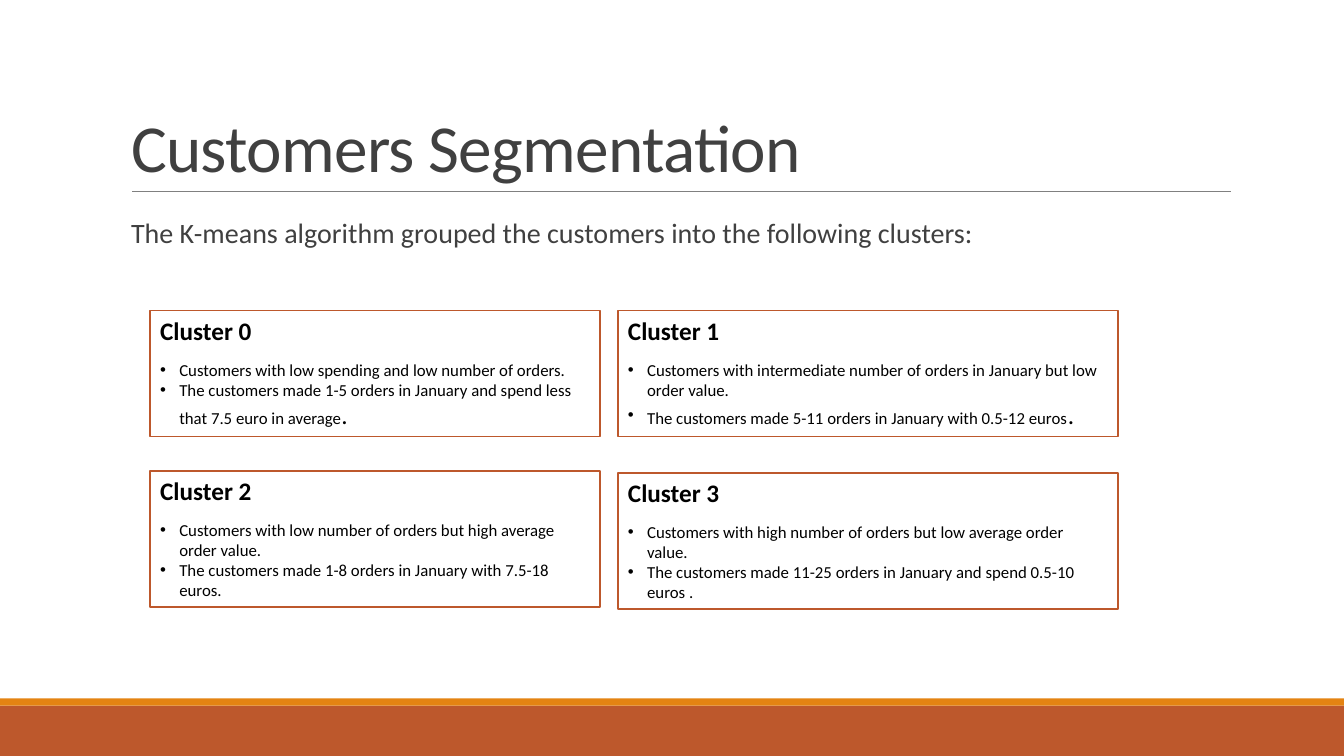
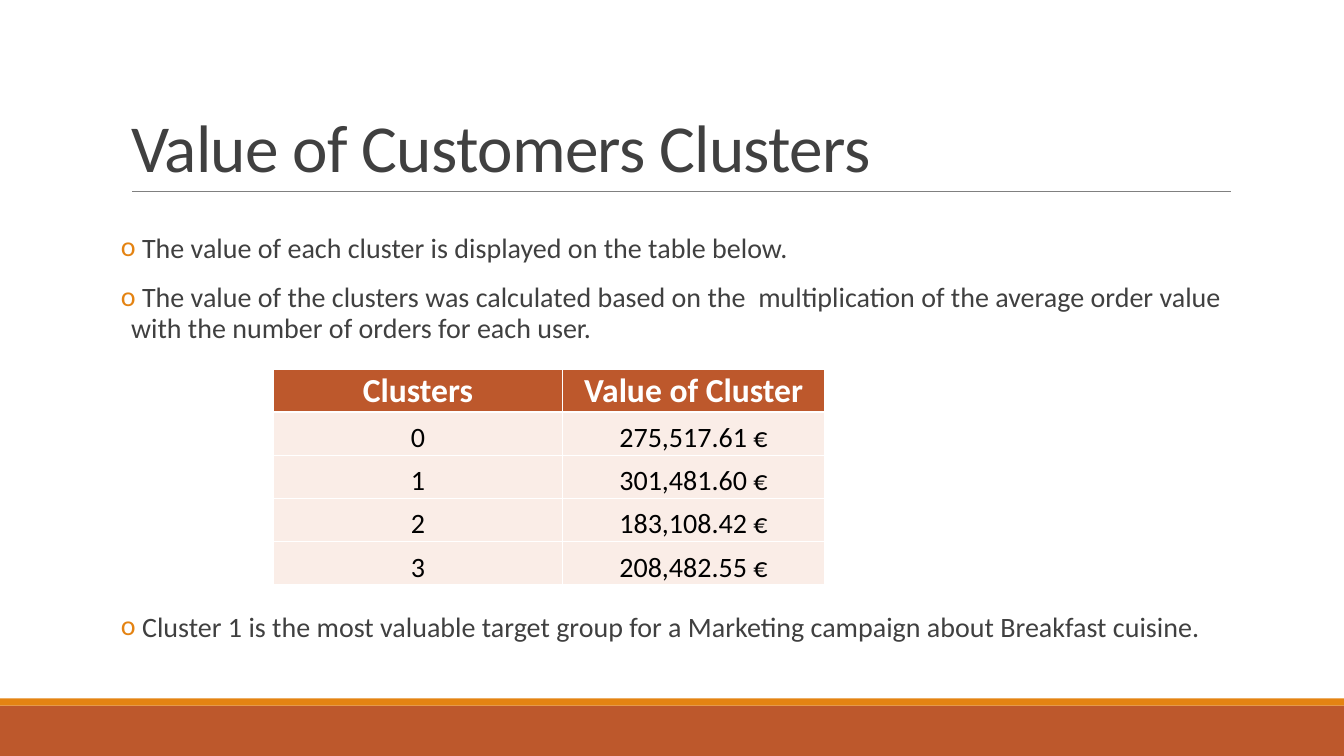
from dataclasses import dataclass

from lxml.etree import SubElement
from pptx import Presentation
from pptx.dml.color import RGBColor
from pptx.enum.shapes import MSO_CONNECTOR as Link, MSO_SHAPE as Form
from pptx.enum.text import MSO_ANCHOR as Anchor, MSO_AUTO_SIZE as Fit, PP_ALIGN as Align
from pptx.oxml.ns import qn
from pptx.shapes.autoshape import Shape
from pptx.slide import Slide
from pptx.table import _Cell as Cell
from pptx.text.text import _Paragraph as Para, _Run as Run
from pptx.util import Inches, Pt

RUST = RGBColor(0xBD, 0x58, 0x2C)
AMBER = RGBColor(0xE4, 0x83, 0x12)
GRAY = RGBColor(0x80, 0x80, 0x80)
DARK = RGBColor(0x40, 0x40, 0x40)
BLUSH = RGBColor(0xFA, 0xED, 0xE7)
BLACK = RGBColor(0, 0, 0)
WHITE = RGBColor(0xFF, 0xFF, 0xFF)
FONT = "Calibri"


@dataclass(frozen=True)
class Area:
    left: float
    top: float
    width: float
    height: float

    def place(self, shape: Shape) -> None:
        shape.left, shape.top = Inches(self.left), Inches(self.top)
        shape.width, shape.height = Inches(self.width), Inches(self.height)


@dataclass(frozen=True)
class Band:
    area: Area
    color: RGBColor


@dataclass(frozen=True)
class Group:
    name: str
    area: Area
    points: tuple[str, str]
    end: str = ""


@dataclass(frozen=True)
class Item:
    text: str
    mark: str = ""
    before: float = 12


BANDS = (
    Band(Area(0, 7, 13.33, 0.5), RUST),
    Band(Area(0, 6.93, 13.33, 0.07), AMBER),
)
TITLE = Area(1.2, 0.31, 11, 1.59)

GROUPS = (
    Group("Cluster 0", Area(1.49, 3.08, 4.46, 1.25), (
        "Customers with low spending and low number of orders.",
        "The customers made 1-5 orders in January and spend less that 7.5 euro in average",
    ), "."),
    Group("Cluster 1", Area(6.13, 3.08, 4.96, 1.25), (
        "Customers with intermediate number of orders in January but low order value.",
        "The customers made 5-11 orders in January with 0.5-12 euros",
    ), "."),
    Group("Cluster 2", Area(1.49, 4.67, 4.46, 1.35), (
        "Customers with low number of orders but high average order value.",
        "The customers made 1-8 orders in January with 7.5-18 euros.",
    )),
    Group("Cluster 3", Area(6.13, 4.69, 4.96, 1.35), (
        "Customers with high number of orders but low average order value.",
        "The customers made 11-25 orders in January and spend 0.5-10 euros .",
    )),
)

INTRO = (Item("The K-means algorithm grouped the customers into the following clusters:"),)
NOTES = (
    Item(" The value of each cluster is displayed on the table below.", "o"),
    Item(" The value of the clusters was calculated based on the  multiplication of the "
         "average order value with the number of orders for each user.", "o"),
    Item(" Cluster 1 is the most valuable target group for a Marketing campaign about "
         "Breakfast cuisine.", "o", 190),
)
ROWS = (
    ("Clusters", "Value of Cluster"),
    ("0", "275,517.61 €"),
    ("1", "301,481.60 €"),
    ("2", "183,108.42 €"),
    ("3", "208,482.55 €"),
)


def style(run: Run, size: float, color: RGBColor, bold: bool = False) -> None:
    font = run.font
    font.name, font.size, font.bold = FONT, Pt(size), bold
    font.color.rgb = color


def indent(para: Para, left: float, mark: str, face: str, color: RGBColor) -> None:
    props = para._p.get_or_add_pPr()
    props.set("marL", str(Inches(left)))
    props.set("indent", str(-Inches(left) if mark else 0))
    if not mark:
        SubElement(props, qn("a:buNone"))
        return
    tint = SubElement(props, qn("a:buClr"))
    SubElement(tint, qn("a:srgbClr"), val=str(color))
    SubElement(props, qn("a:buFont"), typeface=face)
    SubElement(props, qn("a:buChar"), char=mark)


def add_bands(slide: Slide) -> None:
    for band in BANDS:
        shape = slide.shapes.add_shape(Form.RECTANGLE, 0, 0, 0, 0)
        band.area.place(shape)
        shape.shadow.inherit = False
        shape.fill.solid()
        shape.fill.fore_color.rgb = band.color
        shape.line.fill.background()
    rule = slide.shapes.add_connector(
        Link.STRAIGHT, Inches(1.31), Inches(1.9), Inches(12.21), Inches(1.9))
    rule.line.color.rgb = GRAY
    rule.line.width = Pt(0.5)
    SubElement(rule._element.spPr, qn("a:effectLst"))


def add_title(slide: Slide, text: str) -> None:
    title = slide.shapes.title
    TITLE.place(title)
    frame = title.text_frame
    frame.text = text
    frame.auto_size = Fit.NONE
    frame.vertical_anchor = Anchor.BOTTOM
    para = frame.paragraphs[0]
    para.alignment = Align.LEFT
    para.line_spacing = 0.85
    run = para.runs[0]
    style(run, 48, DARK)
    run.font._element.set("spc", "-50")


def add_body(slide: Slide, top: float, items: tuple[Item, ...]) -> None:
    body = slide.placeholders[1]
    Area(1.2, top, 11, 4.4).place(body)
    frame = body.text_frame
    frame.text = "\n".join(item.text for item in items)
    frame.auto_size = Fit.NONE
    frame.margin_left = frame.margin_right = 0
    for para, item in zip(frame.paragraphs, items):
        para.line_spacing = 0.9
        para.space_before, para.space_after = Pt(item.before), Pt(2)
        indent(para, 0.1, item.mark, FONT, AMBER)
        style(para.runs[0], 20, DARK)


def add_slide(deck: Presentation, title: str, top: float, items: tuple[Item, ...]) -> Slide:
    slide = deck.slides.add_slide(deck.slide_layouts[1])
    add_bands(slide)
    add_title(slide, title)
    add_body(slide, top, items)
    return slide


def add_group(slide: Slide, group: Group) -> None:
    box = slide.shapes.add_shape(Form.RECTANGLE, 0, 0, 0, 0)
    group.area.place(box)
    box.shadow.inherit = False
    box.fill.solid()
    box.fill.fore_color.rgb = WHITE
    box.line.color.rgb = RUST
    box.line.width = Pt(1.25)
    frame = box.text_frame
    frame.word_wrap = True
    frame.vertical_anchor = Anchor.TOP
    frame.text = "\n".join((group.name, *group.points))
    head, *points = frame.paragraphs
    head.alignment = Align.LEFT
    head.space_after = Pt(9.8)
    style(head.runs[0], 18, BLACK, True)
    for para in points:
        para.alignment = Align.LEFT
        indent(para, 0.19, "•", "Arial", BLACK)
        style(para.runs[0], 12, BLACK)
    if group.end:
        dot = points[-1].add_run()
        dot.text = group.end
        style(dot, 18, BLACK)


def add_edges(cell: Cell) -> None:
    props = cell._tc.get_or_add_tcPr()
    for side in ("lnL", "lnR", "lnT", "lnB"):
        edge = SubElement(props, qn(f"a:{side}"), w=str(Pt(1)))
        fill = SubElement(edge, qn("a:solidFill"))
        SubElement(fill, qn("a:srgbClr"), val=str(WHITE))


def add_cell(cell: Cell, text: str, head: bool) -> None:
    cell.margin_left = cell.margin_right = cell.margin_top = Inches(0.01)
    cell.margin_bottom = 0
    cell.vertical_anchor = Anchor.BOTTOM
    add_edges(cell)
    cell.fill.solid()
    cell.fill.fore_color.rgb = RUST if head else BLUSH
    cell.text_frame.text = text
    para = cell.text_frame.paragraphs[0]
    para.alignment = Align.CENTER
    style(para.runs[0], 24 if head else 20, WHITE if head else BLACK, head)


def add_values(slide: Slide) -> None:
    table = slide.shapes.add_table(
        len(ROWS), 2, Inches(2.71), Inches(3.66), Inches(5.47), Inches(2.14)).table
    for col, width in zip(table.columns, (2.87, 2.6)):
        col.width = Inches(width)
    for i, row in enumerate(ROWS):
        for j, text in enumerate(row):
            add_cell(table.cell(i, j), text, i == 0)


def main() -> None:
    deck = Presentation()
    deck.slide_width, deck.slide_height = Inches(13.33), Inches(7.5)
    slide = add_slide(deck, "Customers Segmentation", 2.13, INTRO)
    for group in GROUPS:
        add_group(slide, group)
    add_values(add_slide(deck, "Value of Customers Clusters", 2.27, NOTES))
    deck.save("out.pptx")


main()
